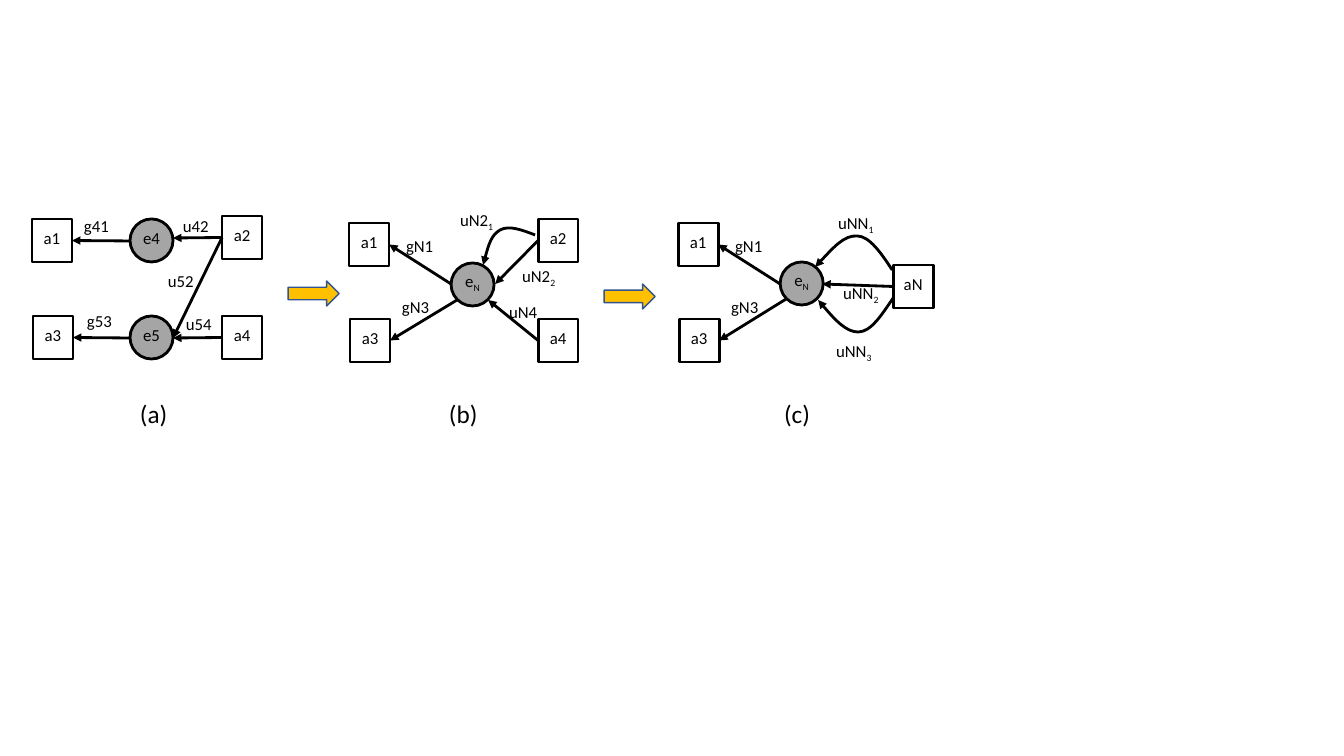
import pptx
import pptx.util
import pptx.dml.color
import pptx.enum.shapes
import pptx.enum.text
import pptx.oxml.ns
import lxml.etree

BOXES = {
    "a": {"a1": (32, 219), "a3": (33, 316), "a2": (222, 216), "a4": (222, 316)},
    "b": {"a1": (349, 223), "a3": (350, 319), "a2": (538, 219), "a4": (538, 319)},
    "c": {"a1": (678, 223), "a3": (679, 319), "aN": (893, 265)},
}
DISCS = [
    ("e4", 130, 219), ("e5", 130, 316),
    ("e_N", 451, 263), ("e_N", 780, 262),
]
EDGES = [
    ("a", "a1", 130, 241), ("a", "a3", 130, 338),
    ("a", "a2", 173, 238), ("a", "a4", 173, 338), ("a", "a2", 173, 338),
    ("b", "a1", 451, 284), ("b", "a3", 457, 300),
    ("b", "a2", 495, 284), ("b", "a4", 488, 300),
    ("c", "a1", 780, 284), ("c", "a3", 786, 299), ("c", "aN", 822, 284),
]
CURVES = [
    [(535, 235), (522, 230), (509, 225), (500, 230), (491, 235), (487, 250), (483, 265)],
    [(892, 270), (881, 253), (869, 236), (857, 236), (844, 235), (830, 251), (815, 267)],
    [(893, 298), (882, 314), (871, 332), (858, 332), (846, 332), (832, 317), (818, 300)],
]
LABELS = [
    ("g41", 74, 211, 48), ("g53", 77, 306, 48),
    ("u42", 173, 211, 48), ("u52", 158, 266, 48), ("u54", 176, 309, 48),
    ("gN1", 396, 231, 50), ("gN3", 392, 292, 50), ("uN4", 499, 297, 52),
    ("uN2_1", 450, 205, 56), ("uN2_2", 512, 261, 56),
    ("gN1", 725, 231, 50), ("gN3", 721, 292, 50),
    ("uNN_1", 828, 208, 60), ("uNN_2", 833, 278, 60), ("uNN_3", 826, 336, 60),
]
TITLES = [("(a)", 130, 393, 50), ("(b)", 439, 393, 50), ("(c)", 774, 393, 50)]
ARROWS = [(288, 281), (604, 284)]

BOX = (40, 43)
DISC = (43, 43)
ARROW = (51, 25)
LIFT = 5
SCALE = 914400 / 100.8
KIND = pptx.enum.shapes.MSO_SHAPE
qn = pptx.oxml.ns.qn

deck = pptx.Presentation()
deck.slide_width = pptx.util.Inches(13.33)
deck.slide_height = pptx.util.Inches(7.5)
slide = deck.slides.add_slide(deck.slide_layouts[6])
shapes = slide.shapes


def emu(*sizes):
    return [round(size * SCALE) for size in sizes]


def color(code):
    return pptx.dml.color.RGBColor.from_string(code)


def stroke(item, code="000000", width=2):
    item.line.color.rgb = color(code)
    item.line.width = pptx.util.Pt(width)


def tip(item):
    line = item.element.spPr.find(qn("a:ln"))
    lxml.etree.SubElement(line, qn("a:tailEnd"), type="triangle")


def write(item, text, size=12, center=False):
    frame = item.text_frame
    frame.word_wrap = False
    para = frame.paragraphs[0]
    if center:
        frame.margin_left = frame.margin_right = frame.margin_top = 0
        frame.margin_bottom = emu(LIFT)[0]
        frame.vertical_anchor = pptx.enum.text.MSO_ANCHOR.MIDDLE
        para.alignment = pptx.enum.text.PP_ALIGN.CENTER
    else:
        frame.auto_size = pptx.enum.text.MSO_AUTO_SIZE.SHAPE_TO_FIT_TEXT
    for rank, part in enumerate(text.split("_")):
        run = para.add_run()
        run.text = part
        run.font.name = "Calibri"
        run.font.size = pptx.util.Pt(size)
        run.font.color.rgb = color("000000")
        if rank:
            run._r.get_or_add_rPr().set("baseline", "-25000")


def block(kind, spot, size, fill, **line):
    item = shapes.add_shape(kind, *emu(*spot, *size))
    item.shadow.inherit = False
    item.fill.solid()
    item.fill.fore_color.rgb = color(fill)
    stroke(item, **line)
    return item


def label(text, left, top, width, height=30, size=12):
    write(shapes.add_textbox(*emu(left, top, width, height)), text, size=size)


def edge(box, left, top):
    link = shapes.add_connector(
        pptx.enum.shapes.MSO_CONNECTOR.STRAIGHT, *emu(left, top, left, top))
    if box.left < emu(left)[0]:
        link.end_connect(box, 3)
    else:
        link.begin_connect(box, 1)
    stroke(link)
    tip(link)
    lxml.etree.SubElement(link.element.spPr, qn("a:effectLst"))


def curve(points):
    pen = shapes.build_freeform(*points[0], scale=SCALE)
    pen.add_line_segments(points[1:], close=False)
    item = pen.convert_to_shape()
    item.shadow.inherit = False
    item.fill.background()
    stroke(item)
    tip(item)
    track = next(item.element.iter(qn("a:path")))
    steps = track.findall(qn("a:lnTo"))
    for start in range(0, len(steps), 3):
        bend = lxml.etree.SubElement(track, qn("a:cubicBezTo"))
        for step in steps[start:start + 3]:
            bend.append(step[0])
            track.remove(step)


nodes = {}
for panel, boxes in BOXES.items():
    for name, spot in boxes.items():
        nodes[panel, name] = block(KIND.RECTANGLE, spot, BOX, "FFFFFF")
        write(nodes[panel, name], name, center=True)
for name, *spot in DISCS:
    write(block(KIND.OVAL, spot, DISC, "A5A5A5"), name, center=True)
for panel, name, left, top in EDGES:
    edge(nodes[panel, name], left, top)
for points in CURVES:
    curve(points)
for spot in ARROWS:
    block(KIND.RIGHT_ARROW, spot, ARROW, "FFC000", code="325491", width=1)
for entry in LABELS:
    label(*entry)
for entry in TITLES:
    label(*entry, height=40, size=18)

deck.save("out.pptx")
